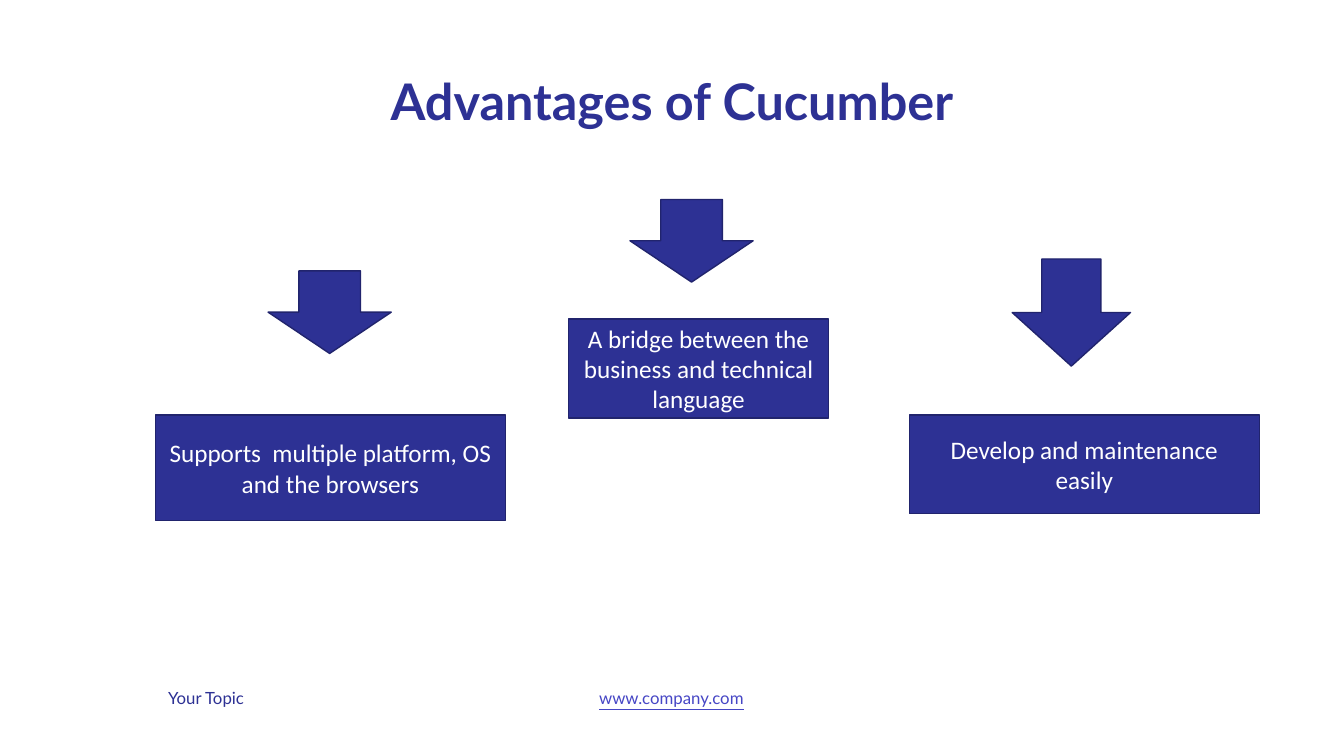
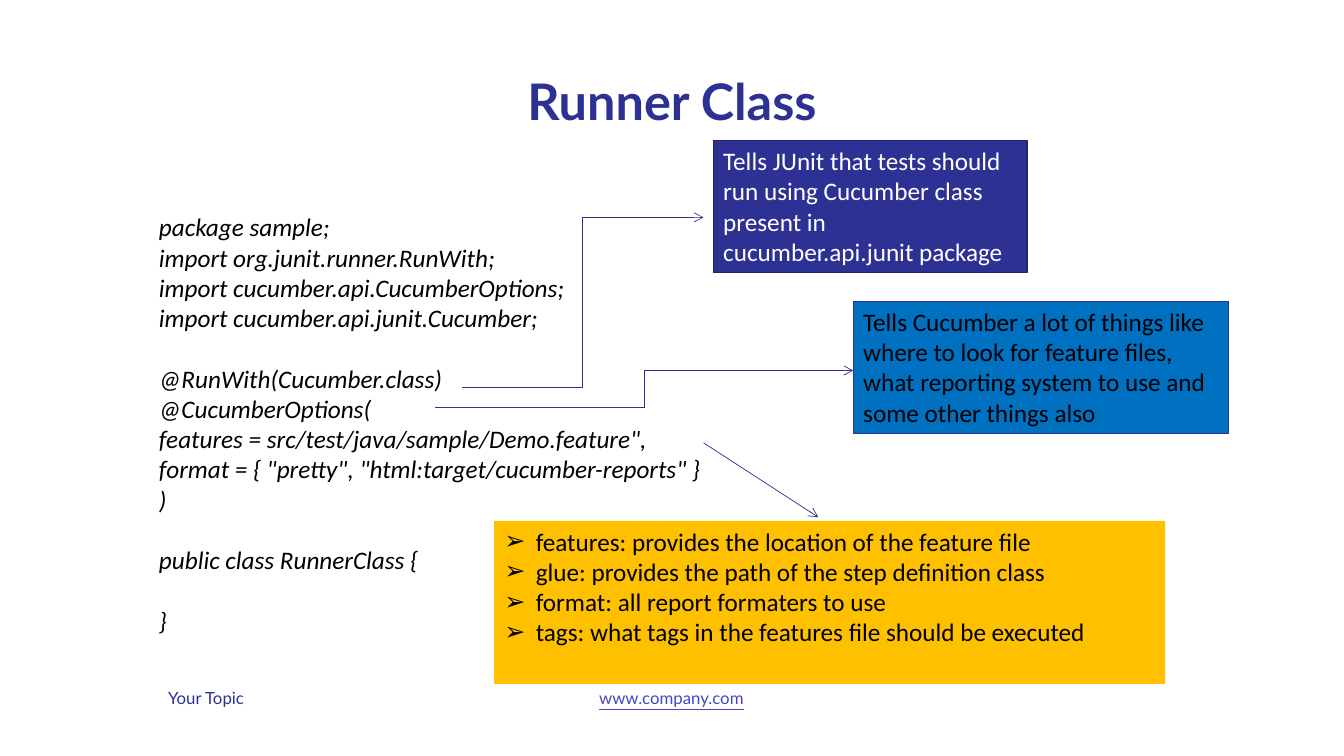
from lxml import etree
from pptx import Presentation
from pptx.dml.color import RGBColor
from pptx.enum.shapes import MSO_CONNECTOR, MSO_SHAPE
from pptx.enum.text import MSO_ANCHOR, MSO_AUTO_SIZE, PP_ALIGN
from pptx.oxml.ns import qn
from pptx.util import Pt

RECT, DOWN_ARROW = MSO_SHAPE.RECTANGLE, MSO_SHAPE.DOWN_ARROW
ELBOW, STRAIGHT = MSO_CONNECTOR.ELBOW, MSO_CONNECTOR.STRAIGHT
TOP, MIDDLE, BOTTOM = MSO_ANCHOR.TOP, MSO_ANCHOR.MIDDLE, MSO_ANCHOR.BOTTOM
LEFT, CENTER = PP_ALIGN.LEFT, PP_ALIGN.CENTER

NAVY, EDGE, LINK = "2D3194", "21246D", "4646C5"
BLUE, AMBER, WHITE, BLACK = "0070C0", "FFC000", "FFFFFF", "000000"
TITLE_ONLY, TITLE_AND_CONTENT = 5, 1
LINE_HEIGHT = 21.8

TITLE_FONT = dict(name="Lato", size=Pt(36), bold=True, color=NAVY)
FOOTER_FONT = dict(name="Lato", size=Pt(12), color=NAVY)
LINK_FONT = dict(FOOTER_FONT, color=LINK, underline=True)
LIGHT_FONT = dict(name="Calibri", size=Pt(18), color=WHITE)
DARK_FONT = dict(LIGHT_FONT, color=BLACK)
CODE_FONT = dict(DARK_FONT, italic=True)

TITLE_AT = (120, 50, 720, 47)
FOOTERS = [
    ("Your Topic", (113, 488, 150, 21.8), FOOTER_FONT, LEFT),
    ("www.company.com", (404.6, 488, 150, 21.8), LINK_FONT, CENTER),
]

ADVANTAGES = [
    ("Supports  multiple platform, OS and the browsers",
     (111, 296.5, 250, 75.5), (191.5, 193.5, 88, 59)),
    ("A bridge between the business and technical language",
     (406, 228, 186, 70.5), (450, 142.5, 88, 59)),
    ("Develop and maintenance easily",
     (649.5, 296.5, 250, 70.5), (723, 185, 84.5, 76.5)),
]

CODE_AT = (106.5, 147.6, 418, 312.5)
CODE_BLOCKS = [
    ["package sample;",
     "import org.junit.runner.RunWith;",
     "import cucumber.api.CucumberOptions;",
     "import cucumber.api.junit.Cucumber;"],
    ["@RunWith(Cucumber.class)",
     "@CucumberOptions(",
     "features = src/test/java/sample/Demo.feature\",",
     "format = { \"pretty\", \"html:target/cucumber-reports\" }",
     ")"],
    ["public class RunnerClass {"],
    ["}"],
]
CALLOUTS = [
    ("Tells JUnit that tests should run using Cucumber class present in "
     "cucumber.api.junit package",
     (509.5, 100.3, 224.2, 94.5), NAVY, EDGE, 1, LIGHT_FONT),
    ("Tells Cucumber a lot of things like where to look for feature files, "
     "what reporting system to use and some other things also",
     (609.5, 215.2, 268, 94.5), BLUE, NAVY, 0.5, DARK_FONT),
]
OPTIONS_AT = (353, 372, 479.2, 116.5)
OPTIONS = [
    "features: provides the location of the feature file",
    "glue: provides the path of the step definition class",
    "format: all report formaters to use",
    "tags: what tags in the features file should be executed",
]
ARROWS = [
    (ELBOW, (330, 276.7), (502.5, 155.3)),
    (ELBOW, (310.8, 291.2), (609.5, 264.7)),
    (STRAIGHT, (502.5, 316.3), (584.5, 369.4)),
]


def rgb(color):
    return RGBColor.from_string(color)


def place(shape, at):
    for side, value in zip(("left", "top", "width", "height"), at):
        setattr(shape, side, Pt(value))


def write(shape, lines, font, align=LEFT, anchor=TOP):
    tf = shape.text_frame
    tf.word_wrap = True
    tf.auto_size = MSO_AUTO_SIZE.NONE
    tf.vertical_anchor = anchor
    for i, line in enumerate(lines):
        p = tf.add_paragraph() if i else tf.paragraphs[0]
        p.alignment = align
        p.space_before = Pt(0)
        r = p.add_run()
        r.text = line
        for name, value in font.items():
            if name == "color":
                r.font.color.rgb = rgb(value)
            else:
                setattr(r.font, name, value)
    return tf.paragraphs


def add_text(s, lines, at, font, align=LEFT):
    box = s.shapes.add_textbox(*map(Pt, at))
    return box, write(box, lines, font, align)


def add_block(s, kind, at, fill=NAVY, edge=EDGE, width=1):
    shape = s.shapes.add_shape(kind, *map(Pt, at))
    shape.shadow.inherit = False
    shape.fill.solid()
    shape.fill.fore_color.rgb = rgb(fill)
    shape.line.color.rgb = rgb(edge)
    shape.line.width = Pt(width)
    return shape


def add_arrow(s, kind, start, end):
    arrow = s.shapes.add_connector(kind, *map(Pt, start + end))
    arrow.line.color.rgb = rgb(NAVY)
    arrow.line.width = Pt(0.5)
    etree.SubElement(arrow.line._get_or_add_ln(), qn("a:tailEnd"), type="arrow")
    etree.SubElement(arrow.element.spPr, qn("a:effectLst"))


def add_bullet(p):
    pPr = p._p.get_or_add_pPr()
    pPr.set("marL", str(Pt(22.5)))
    pPr.set("indent", str(Pt(-22.5)))
    etree.SubElement(pPr, qn("a:buFont"), typeface="Arial")
    etree.SubElement(pPr, qn("a:buChar"), char="➢")


def add_slide(prs, layout, title):
    s = prs.slides.add_slide(prs.slide_layouts[layout])
    place(s.shapes.title, TITLE_AT)
    write(s.shapes.title, [title], TITLE_FONT, CENTER, BOTTOM)[0].line_spacing = Pt(43)
    return s


def add_master_footers(prs, s):
    for text, at, font, align in FOOTERS:
        box, _ = add_text(s, [text], at, font, align)
        prs.slide_master.shapes.element.append(box.element)


def build_advantages(prs):
    s = add_slide(prs, TITLE_ONLY, "Advantages of Cucumber")
    add_master_footers(prs, s)
    for text, box_at, arrow_at in ADVANTAGES:
        write(add_block(s, RECT, box_at), [text], LIGHT_FONT, CENTER, MIDDLE)
        add_block(s, DOWN_ARROW, arrow_at)


def build_runner(prs):
    s = add_slide(prs, TITLE_AND_CONTENT, "Runner Class")

    options = s.placeholders[1]
    place(options, OPTIONS_AT)
    options.fill.solid()
    options.fill.fore_color.rgb = rgb(AMBER)
    for p in write(options, OPTIONS, DARK_FONT):
        add_bullet(p)

    lines = [line for block in CODE_BLOCKS for line in block]
    _, paragraphs = add_text(s, lines, CODE_AT, CODE_FONT)
    first = 0
    for block in CODE_BLOCKS[:-1]:
        first += len(block)
        paragraphs[first].space_before = Pt(LINE_HEIGHT)

    for text, at, fill, edge, width, font in CALLOUTS:
        write(add_block(s, RECT, at, fill, edge, width), [text], font)
    for kind, start, end in ARROWS:
        add_arrow(s, kind, start, end)


def main():
    prs = Presentation()
    prs.slide_width, prs.slide_height = Pt(960), Pt(540)
    build_advantages(prs)
    build_runner(prs)
    prs.save("out.pptx")


if __name__ == "__main__":
    main()
